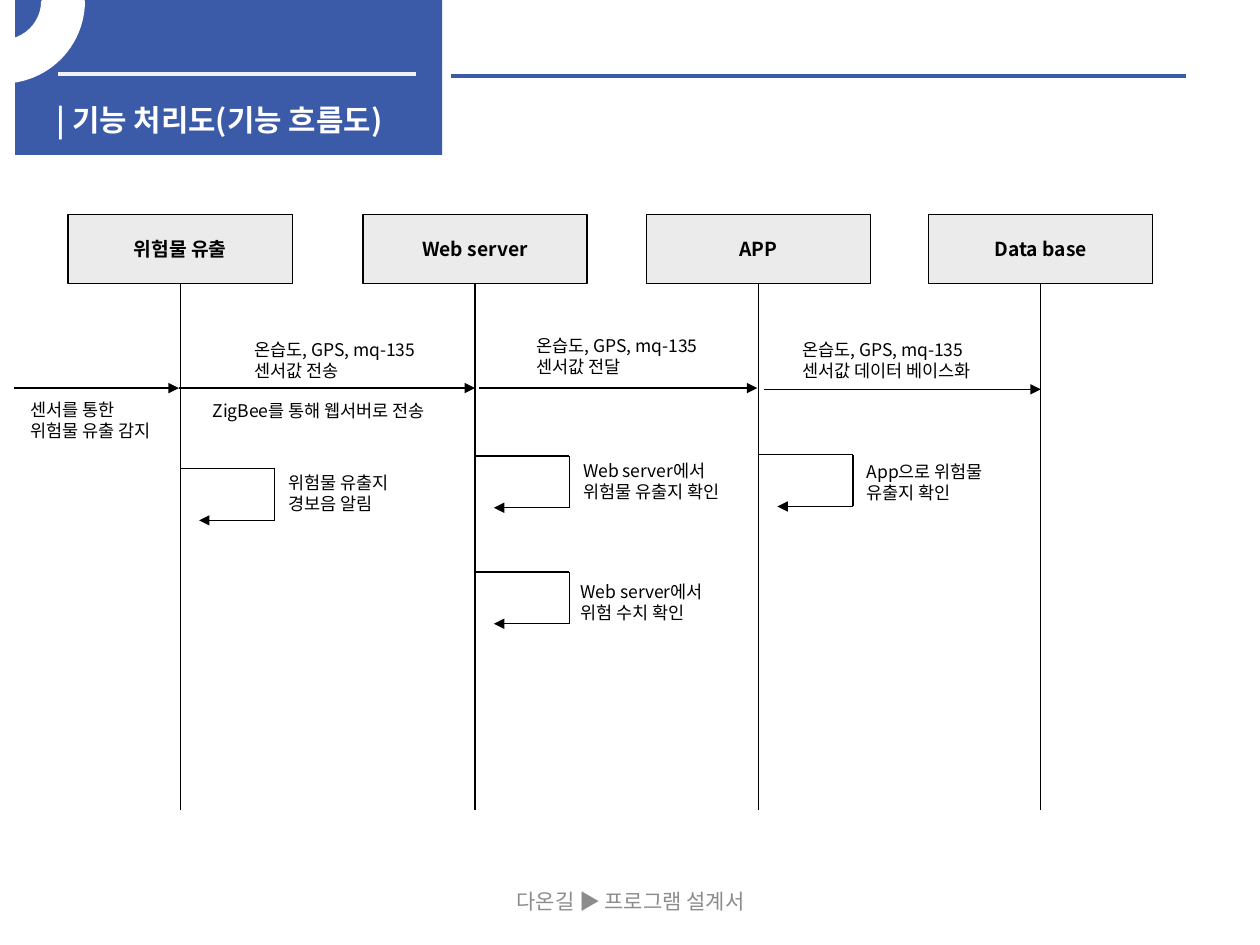
import pptx
import pptx.util
import pptx.dml.color
import pptx.enum.shapes
import pptx.enum.text
import pptx.oxml
import pptx.oxml.ns
from pptx.util import Inches, Pt

SHAPES = pptx.enum.shapes.MSO_SHAPE
ALIGN = pptx.enum.text.PP_ALIGN
ANCHOR = pptx.enum.text.MSO_ANCHOR
FONT = "Noto Sans CJK KR"
COLORS = {"blue": "3B5AA8", "white": "FFFFFF", "pale": "F2F2F2",
          "header": "D9D9D9", "black": "000000", "footer": "8C8C8C"}

TITLE = "| 기능 처리도(기능 흐름도)"
FOOTER = "다온길 ▶ 프로그램 설계서"

# name, left edge of the header box
PARTICIPANTS = [("위험물 유출", 0.54), ("Web server", 2.88),
                ("APP", 5.13), ("Data base", 7.37)]
HEADER_TOP, HEADER_WIDTH, HEADER_HEIGHT = 1.7, 1.78, 0.55
LIFELINE_END = 6.43

# start x, end x, y
MESSAGES = [(0.11, 1.42, 3.08), (1.42, 3.77, 3.08),
            (3.8, 6.01, 3.08), (6.06, 8.26, 3.09)]

# participant index, top of the loop
SELF_CALLS = [(0, 3.72), (1, 3.62), (1, 4.54), (2, 3.61)]
LOOP_WIDTH, LOOP_HEIGHT, LOOP_RETURN = 0.75, 0.41, 0.15

# left, top, width, lines
NOTES = [
    (0.14, 3.12, 1.29, ["센서를 통한", "위험물 유출 감지"]),
    (1.59, 3.13, 2.13, ["ZigBee를 통해 웹서버로 전송"]),
    (1.92, 2.64, 1.81, ["온습도, GPS, mq-135", "센서값 전송"]),
    (4.16, 2.61, 1.81, ["온습도, GPS, mq-135", "센서값 전달"]),
    (6.27, 2.64, 1.81, ["온습도, GPS, mq-135", "센서값 데이터 베이스화"]),
    (2.19, 3.7, 1.47, ["위험물 유출지", "경보음 알림"]),
    (4.53, 3.6, 1.47, ["Web server에서", "위험물 유출지 확인"]),
    (4.51, 4.56, 1.47, ["Web server에서", "위험 수치 확인"]),
    (6.78, 3.61, 1.47, ["App으로 위험물", "유출지 확인"]),
]


def rgb(name):
    return pptx.dml.color.RGBColor.from_string(COLORS[name])


def child(parent, tag, **attributes):
    element = pptx.oxml.parse_xml(f"<a:{tag} {pptx.oxml.ns.nsdecls('a')}/>")
    for key, value in attributes.items():
        element.set(key, value)
    parent.append(element)


def write(shape, lines, size, color, bold=False, align=ALIGN.LEFT, anchor=ANCHOR.TOP):
    frame = shape.text_frame
    frame.word_wrap = True
    frame.vertical_anchor = anchor
    frame.text = "\n".join(lines)
    for paragraph in frame.paragraphs:
        paragraph.alignment = align
        paragraph.line_spacing = Pt(round(size * 1.2, 1))
        for run in paragraph.runs:
            run.font.size = Pt(size)
            run.font.bold = bold
            run.font.name = FONT
            run.font.color.rgb = rgb(color)
            child(run.font._element, "ea", typeface=FONT)
    return frame


def add_text(slide, left, top, width, height, lines, size, color, **style):
    box = slide.shapes.add_textbox(Inches(left), Inches(top), Inches(width), Inches(height))
    return write(box, lines, size, color, **style)


def add_block(slide, kind, left, top, width, height, fill, line=None, weight=0.75):
    block = slide.shapes.add_shape(kind, Inches(left), Inches(top),
                                   Inches(width), Inches(height))
    block.shadow.inherit = False
    block.fill.solid()
    block.fill.fore_color.rgb = rgb(fill)
    if line:
        block.line.color.rgb = rgb(line)
        block.line.width = Pt(weight)
    else:
        block.line.fill.background()
    return block


def add_line(slide, x1, y1, x2, y2, color="black", weight=0.75, arrow=False):
    line = slide.shapes.add_connector(pptx.enum.shapes.MSO_CONNECTOR.STRAIGHT,
                                      Inches(x1), Inches(y1), Inches(x2), Inches(y2))
    line.line.color.rgb = rgb(color)
    line.line.width = Pt(weight)
    if arrow:
        child(line.line._get_or_add_ln(), "tailEnd", type="triangle")
    child(line._element.spPr, "effectLst")
    return line


def add_banner(slide):
    add_block(slide, SHAPES.RECTANGLE, 0.12, 0, 3.39, 1.23, "blue")
    add_line(slide, 0.46, 0.59, 3.3, 0.59, "pale", 2.25)
    add_line(slide, 3.58, 0.6, 9.41, 0.6, "blue", 2.25)
    add_text(slide, 0.35, 0.76, 3.23, 0.3, [TITLE], 17, "white", bold=True)
    ring = add_block(slide, SHAPES.BLOCK_ARC, -0.63, -0.63, 1.29, 1.28, "white", "white", 2)
    for index, value in enumerate((161.59, 0, 0.25)):
        ring.adjustments[index] = value
    ring._element.spPr.xfrm.set("flipV", "1")


def add_participant(slide, name, left):
    header = add_block(slide, SHAPES.RECTANGLE, left, HEADER_TOP,
                       HEADER_WIDTH, HEADER_HEIGHT, "header", "black")
    fill_color = header._element.spPr.find(".//" + pptx.oxml.ns.qn("a:srgbClr"))
    child(fill_color, "alpha", val="50000")
    write(header, [name], 11, "black", bold=True, align=ALIGN.CENTER, anchor=ANCHOR.MIDDLE)
    center = left + HEADER_WIDTH / 2
    lifeline = add_line(slide, center, HEADER_TOP + HEADER_HEIGHT, center, LIFELINE_END)
    lifeline.begin_connect(header, 2)


def add_self_call(slide, participant, top):
    left = PARTICIPANTS[participant][1] + HEADER_WIDTH / 2
    right, bottom = left + LOOP_WIDTH, top + LOOP_HEIGHT
    add_line(slide, left, top, right, top)
    add_line(slide, right, top, right, bottom)
    add_line(slide, right, bottom, left + LOOP_RETURN, bottom, arrow=True)


def main():
    deck = pptx.Presentation()
    deck.slide_width, deck.slide_height = Inches(10), Inches(7.5)
    slide = deck.slides.add_slide(deck.slide_layouts[6])

    add_banner(slide)
    add_text(slide, 3.42, 6.95, 3.17, 0.4, [FOOTER], 12, "footer",
             align=ALIGN.CENTER, anchor=ANCHOR.MIDDLE)
    for name, left in PARTICIPANTS:
        add_participant(slide, name, left)
    for start, end, y in MESSAGES:
        add_line(slide, start, y, end, y, arrow=True)
    for participant, top in SELF_CALLS:
        add_self_call(slide, participant, top)
    for left, top, width, lines in NOTES:
        height = 0.1 + 0.17 * len(lines)
        note = add_text(slide, left, top, width, height, lines, 10, "black")
        note.auto_size = pptx.enum.text.MSO_AUTO_SIZE.SHAPE_TO_FIT_TEXT

    deck.save("out.pptx")


if __name__ == "__main__":
    main()
